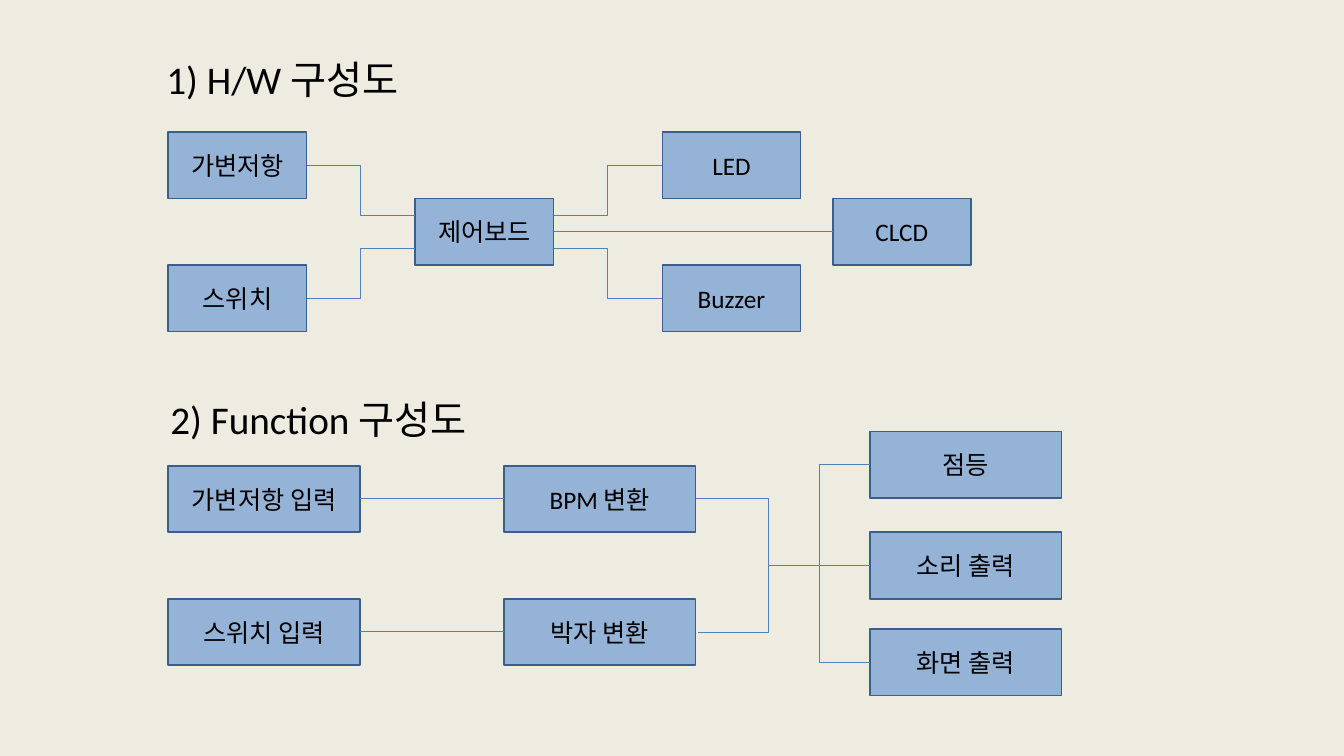
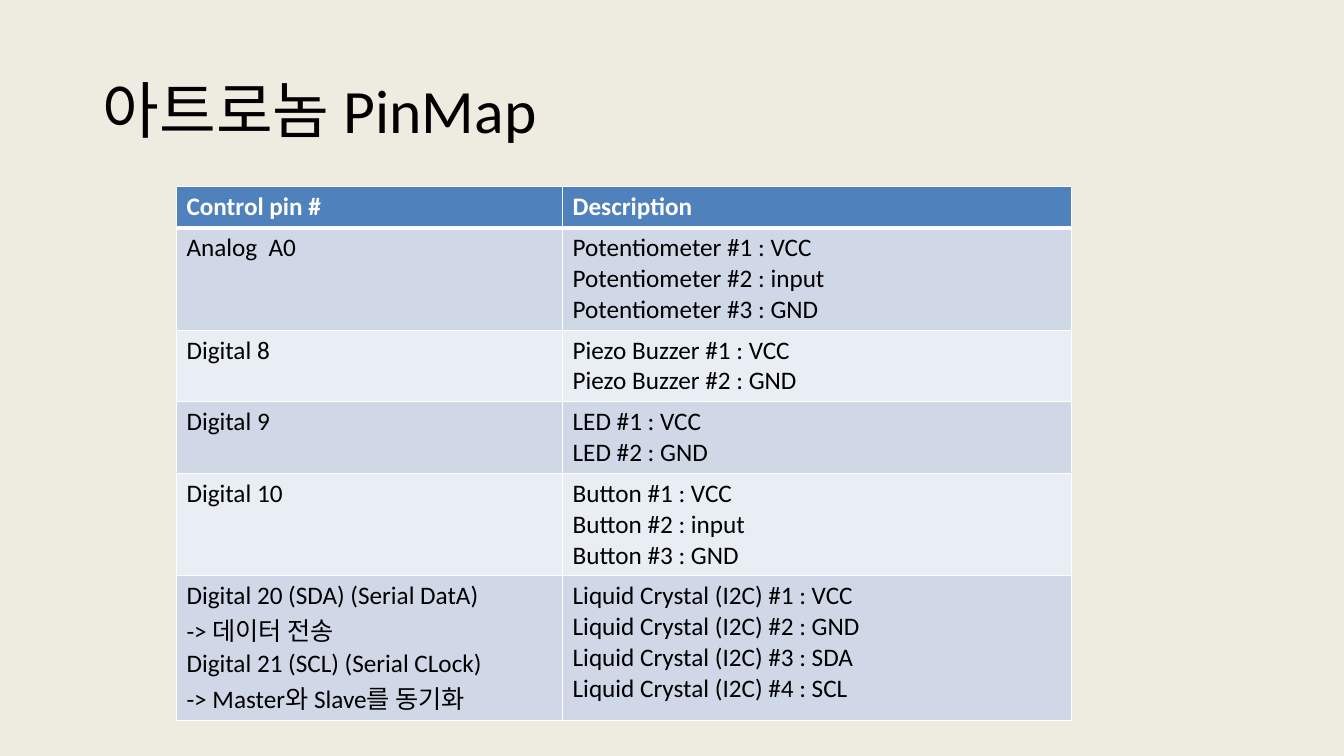
from dataclasses import dataclass

from lxml import etree
from pptx import Presentation
from pptx.dml.color import RGBColor
from pptx.enum.shapes import MSO_CONNECTOR, MSO_SHAPE
from pptx.enum.text import MSO_ANCHOR, MSO_AUTO_SIZE, PP_ALIGN
from pptx.oxml.ns import qn
from pptx.util import Inches, Pt

STRAIGHT, ELBOW = MSO_CONNECTOR.STRAIGHT, MSO_CONNECTOR.ELBOW
RECTANGLE = MSO_SHAPE.RECTANGLE
TOP, MIDDLE = MSO_ANCHOR.TOP, MSO_ANCHOR.MIDDLE
LEFT, CENTER = PP_ALIGN.LEFT, PP_ALIGN.CENTER
NO_AUTOFIT = MSO_AUTO_SIZE.NONE
TITLE_ONLY = 5


@dataclass(frozen=True)
class Theme:
    """Colours and type sizes shared by the slides."""
    font: str = "Calibri"
    background: str = "EEECE1"
    text: str = "000000"
    inverse: str = "FFFFFF"
    node_fill: str = "95B3D7"
    node_line: str = "3A5F8C"
    accent: str = "4F81BD"
    bands: tuple = ("D0D8E8", "E9EDF4")
    title_size: int = 44
    heading_size: int = 28
    body_size: int = 18


@dataclass(frozen=True)
class Box:
    """A region in inches."""
    left: float
    top: float
    width: float
    height: float

    @property
    def right(self):
        """Right edge."""
        return self.left + self.width

    def y(self, share=0.5):
        """Height of a port at a share of the box, from its top."""
        return self.top + self.height * share

    def inches(self):
        """Left, top, width and height as lengths."""
        return [Inches(v) for v in (self.left, self.top, self.width, self.height)]


THEME = Theme()


def rgb(code):
    """Turn RRGGBB into a colour."""
    return RGBColor.from_string(code)


def set_values(target, values):
    """Set each attribute named in values."""
    for name, value in values.items():
        setattr(target, name, value)


def write(frame, lines, size, color=THEME.text, bold=False, align=LEFT, spacing=None):
    """Fill a text frame with one paragraph per line."""
    for index, line in enumerate(lines):
        paragraph = frame.add_paragraph() if index else frame.paragraphs[0]
        set_values(paragraph, {"alignment": align, "line_spacing": spacing})
        run = paragraph.add_run()
        run.text = line
        set_values(run.font, {"name": THEME.font, "size": Pt(size), "bold": bold})
        run.font.color.rgb = rgb(color)


def place_heading(shape, box, text, size, anchor=TOP, spacing=None):
    """Move and write a title or section heading."""
    set_values(shape, dict(zip(("left", "top", "width", "height"), box.inches())))
    set_values(shape.text_frame, {"word_wrap": True, "auto_size": NO_AUTOFIT,
                                  "vertical_anchor": anchor})
    write(shape.text_frame, [text], size, spacing=spacing)


def add_node(slide, box, label):
    """Draw a labelled block and return its box."""
    node = slide.shapes.add_shape(RECTANGLE, *box.inches())
    node.shadow.inherit = False
    node.fill.solid()
    node.fill.fore_color.rgb = rgb(THEME.node_fill)
    node.line.color.rgb = rgb(THEME.node_line)
    node.line.width = Pt(1.25)
    node.text_frame.vertical_anchor = MIDDLE
    write(node.text_frame, [label], THEME.body_size, align=CENTER)
    return box


def add_link(slide, start, end, bend=None):
    """Join two points; bend is the elbow's place as a share of the width."""
    kind = STRAIGHT if start[1] == end[1] else ELBOW
    link = slide.shapes.add_connector(kind, *[Inches(v) for v in (*start, *end)])
    link.line.color.rgb = rgb(THEME.accent)
    link.line.width = Pt(0.75)
    properties = link._element.spPr
    etree.SubElement(properties, qn("a:effectLst"))
    if bend is not None:
        guides = properties.find(qn("a:prstGeom")).find(qn("a:avLst"))
        etree.SubElement(guides, qn("a:gd"), name="adj1",
                         fmla=f"val {round(bend * 100000)}")


def hardware_diagram(slide, box):
    """Draw inputs, the board and its outputs."""
    step = 2.45

    def node(x, row, label):
        """Place a node by offset and row."""
        height = box.height / 3
        return add_node(slide, Box(box.left + x, box.top + row * height, 1.37, height), label)

    board = node(step, 1, "제어보드")
    for row, port, label in ((0, 0.25, "가변저항"), (2, 0.75, "스위치")):
        source = node(0, row, label)
        add_link(slide, (source.right, source.y()), (board.left, board.y(port)))
    for x, row, port, label in ((2 * step, 0, 0.25, "LED"), (2 * step, 2, 0.75, "Buzzer"),
                                (6.59, 1, 0.5, "CLCD")):
        output = node(x, row, label)
        add_link(slide, (board.right, board.y(port)), (output.left, output.y()))


def function_diagram(slide, box):
    """Draw inputs, conversions and the outputs they merge into."""
    def node(x, y, label):
        """Place a node by its offsets."""
        return add_node(slide, Box(box.left + x, box.top + y, 1.9, 0.66), label)

    conversions = []
    for y, source_label, label in ((0.34, "가변저항 입력", "BPM 변환"),
                                   (1.66, "스위치 입력", "박자 변환")):
        source, conversion = node(0, y, source_label), node(3.33, y, label)
        add_link(slide, (source.right, source.y()), (conversion.left, conversion.y()))
        conversions.append(conversion)

    upper, lower = conversions
    reach, offset = 0.72, 0.02
    add_link(slide, (upper.right, upper.y()), (lower.right + offset, lower.y()),
             bend=reach / offset)
    outputs = [node(6.96, y, label)
               for y, label in ((0, "점등"), (1, "소리 출력"), (1.96, "화면 출력"))]
    merge = (upper.right + reach, outputs[1].y())
    for output in outputs:
        add_link(slide, merge, (output.left, output.y()))


def add_border(cell, side, width):
    """Add one solid border to a cell."""
    border = etree.SubElement(cell._tc.get_or_add_tcPr(), qn(f"a:ln{side}"), w=str(Pt(width)))
    fill = etree.SubElement(border, qn("a:solidFill"))
    etree.SubElement(fill, qn("a:srgbClr"), val=THEME.inverse)


def pin_table(slide, box, rows):
    """Draw the pin table, with each row as tall as its lines."""
    table = slide.shapes.add_table(len(rows), 2, *box.inches()).table
    first_width = 3.83
    for column, width in zip(table.columns, (first_width, box.width - first_width)):
        column.width = Inches(width)
    for index, entries in enumerate(rows):
        header = index == 0
        table.rows[index].height = Inches(0.11 + 0.3 * max(map(len, entries)))
        for cell, lines in zip(table.rows[index].cells, entries):
            for side in "LRTB":
                heavy = (header and side == "B") or (index == 1 and side == "T")
                add_border(cell, side, 3 if heavy else 1)
            cell.fill.solid()
            cell.fill.fore_color.rgb = rgb(THEME.accent if header else THEME.bands[(index - 1) % 2])
            write(cell.text_frame, lines, THEME.body_size,
                  THEME.inverse if header else THEME.text, bold=header)


def numbered(part, *uses):
    """List a part's pins in order."""
    return [f"{part} #{number} : {use}" for number, use in enumerate(uses, 1)]


def structure_slide(prs):
    """Build the hardware and function diagrams."""
    slide = prs.slides.add_slide(prs.slide_layouts[TITLE_ONLY])
    place_heading(slide.shapes.title, Box(1.55, 0.5, 3.49, 0.57),
                  "1) H/W 구성도", THEME.heading_size)
    hardware_diagram(slide, Box(1.67, 1.31, 7.96, 1.98))
    function_heading = slide.shapes.add_textbox(0, 0, 0, 0)
    place_heading(function_heading, Box(1.59, 3.87, 3.49, 0.57),
                  "2) Function 구성도", THEME.heading_size)
    function_diagram(slide, Box(1.67, 4.28, 8.86, 2.62))


def pin_map_slide(prs):
    """Build the pin map."""
    slide = prs.slides.add_slide(prs.slide_layouts[TITLE_ONLY])
    place_heading(slide.shapes.title, Box(0.92, 0.4, 11.5, 1.45), "아트로놈 PinMap",
                  THEME.title_size, MIDDLE, spacing=0.9)
    pin_table(slide, Box(1.75, 1.85, 8.88, 5.11), [
        (["Control pin #"], ["Description"]),
        (["Analog  A0"], numbered("Potentiometer", "VCC", "input", "GND")),
        (["Digital 8"], numbered("Piezo Buzzer", "VCC", "GND")),
        (["Digital 9"], numbered("LED", "VCC", "GND")),
        (["Digital 10"], numbered("Button", "VCC", "input", "GND")),
        (["Digital 20 (SDA) (Serial DatA)", "-> 데이터 전송",
          "Digital 21 (SCL) (Serial CLock)", "-> Master와 Slave를 동기화"],
         numbered("Liquid Crystal (I2C)", "VCC", "GND", "SDA", "SCL")),
    ])


def main():
    """Build and save the presentation."""
    prs = Presentation()
    set_values(prs, {"slide_width": Inches(13.33), "slide_height": Inches(7.5)})
    background = prs.slide_master.background.fill
    background.solid()
    background.fore_color.rgb = rgb(THEME.background)
    structure_slide(prs)
    pin_map_slide(prs)
    prs.save("out.pptx")


main()
